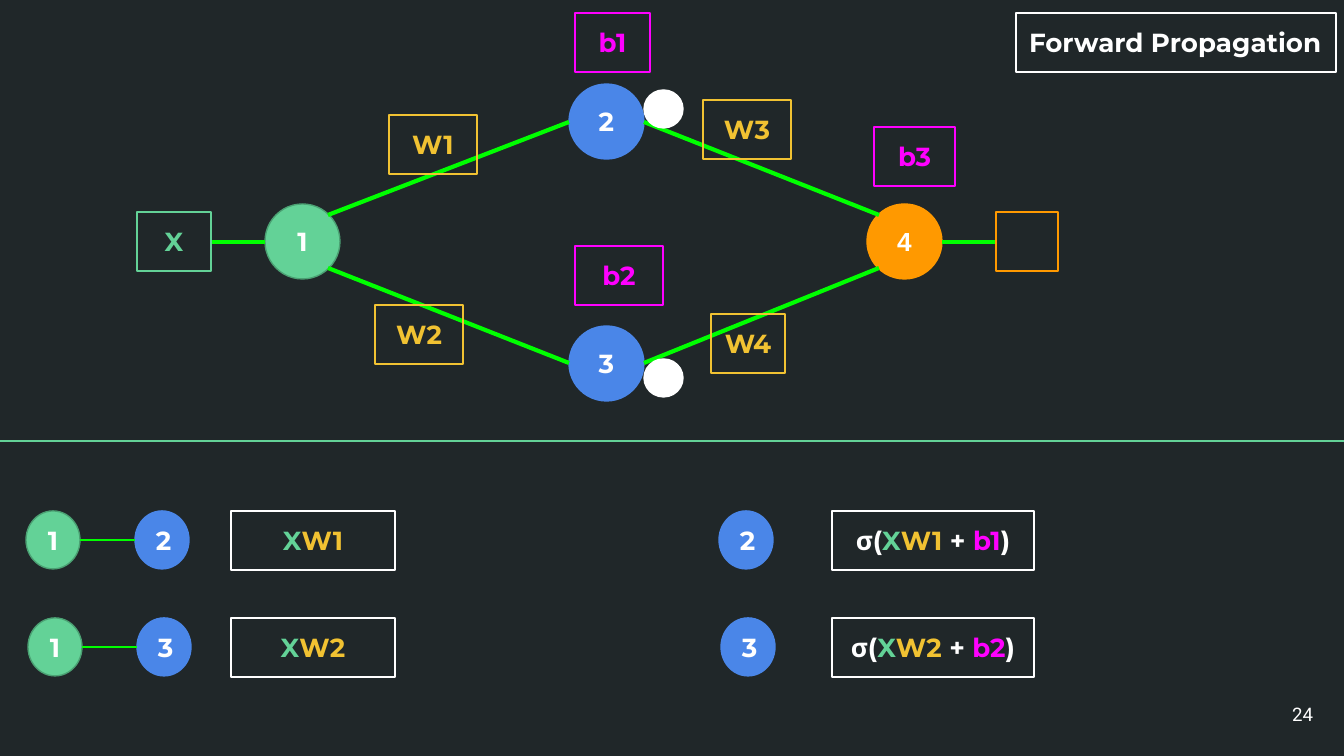
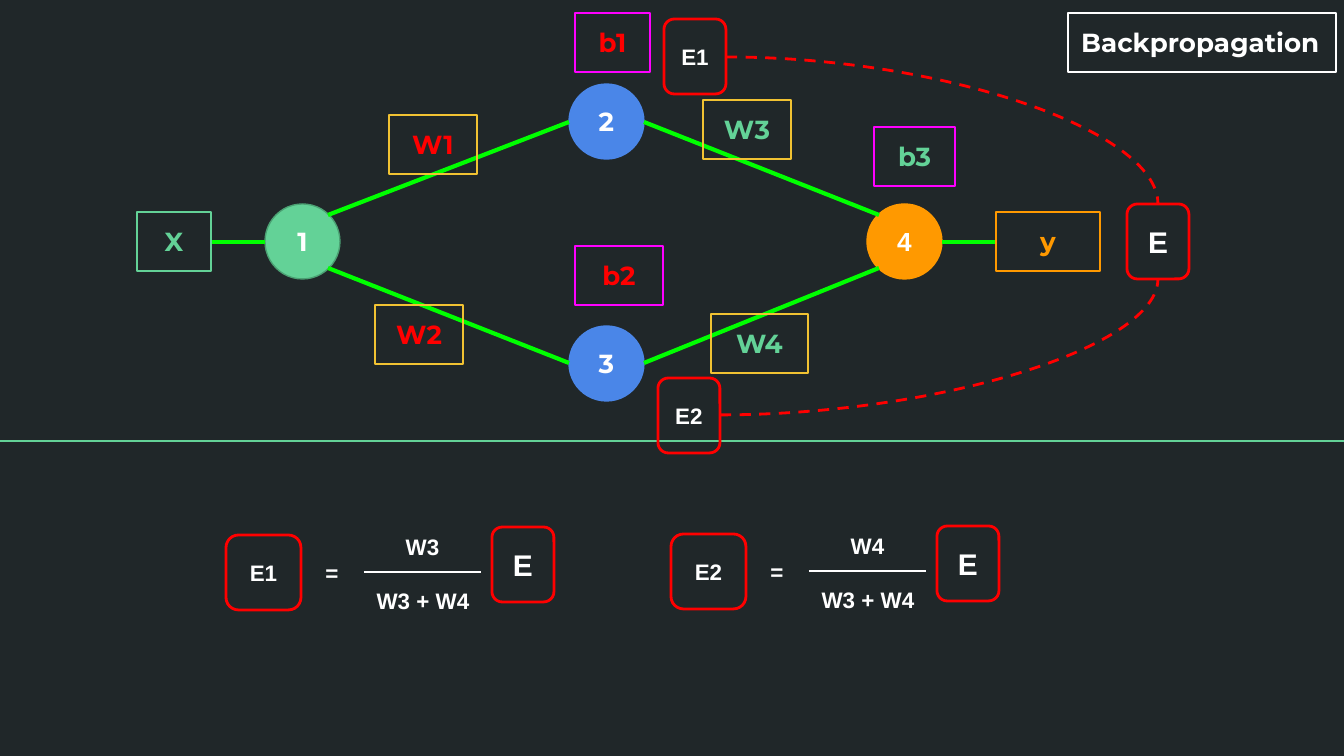
from typing import NamedTuple

from lxml import etree
from pptx import Presentation
from pptx.dml.color import RGBColor
from pptx.enum.dml import MSO_LINE
from pptx.enum.shapes import MSO_CONNECTOR, MSO_SHAPE
from pptx.enum.text import MSO_ANCHOR, MSO_AUTO_SIZE, PP_ALIGN
from pptx.oxml.ns import qn
from pptx.util import Pt

RECT, OVAL, ROUNDED = MSO_SHAPE.RECTANGLE, MSO_SHAPE.OVAL, MSO_SHAPE.ROUNDED_RECTANGLE
STRAIGHT, CURVE = MSO_CONNECTOR.STRAIGHT, MSO_CONNECTOR.CURVE
DASH = MSO_LINE.DASH
TOP, MIDDLE = MSO_ANCHOR.TOP, MSO_ANCHOR.MIDDLE
LEFT, CENTER, RIGHT = PP_ALIGN.LEFT, PP_ALIGN.CENTER, PP_ALIGN.RIGHT
GROW, FIXED = MSO_AUTO_SIZE.SHAPE_TO_FIT_TEXT, MSO_AUTO_SIZE.NONE

SCALE = 914400 / 134.4
SLIDE_W, SLIDE_H = 1344, 756
DIVIDER_Y = 441
INSET = 13
BOX_H = 59
NEURON = 75
ERROR_W = 62

BACKGROUND, WHITE = "202729", "FFFFFF"
GREEN, DARK_GREEN, LIME = "63D297", "4BA173", "00FF00"
BLUE, ORANGE, YELLOW = "4A86E8", "FF9900", "F1C232"
MAGENTA, RED = "FF00FF", "FF0000"
HEADING, PLAIN, NUMERIC = "Montserrat", "Arial", "Roboto"

Parts = list[tuple[str, str]]


class Area(NamedTuple):
    x: int
    y: int
    w: int
    h: int = BOX_H


class Neuron(NamedTuple):
    label: str
    x: int
    y: int
    fill: str
    line: str
    font: str = HEADING


class Parameter(NamedTuple):
    label: str
    area: Area
    line: str


class Edge(NamedTuple):
    x1: int
    y1: int
    x2: int
    y2: int


class Step(NamedTuple):
    target: str
    weight: str
    bias: str


class Share(NamedTuple):
    error: str
    weight: str
    x: int
    y: int


NEURONS = [
    Neuron("1", 265, 204, GREEN, DARK_GREEN),
    Neuron("2", 569, 84, BLUE, BLUE),
    Neuron("3", 569, 326, BLUE, BLUE),
    Neuron("4", 867, 204, ORANGE, ORANGE, PLAIN),
]
EDGES = [
    Edge(328, 215, 569, 122),
    Edge(328, 268, 569, 363),
    Edge(644, 122, 879, 215),
    Edge(644, 363, 879, 268),
    Edge(265, 242, 211, 242),
    Edge(996, 242, 942, 242),
]
PARAMETERS = [
    Parameter("X", Area(137, 212, 74), GREEN),
    Parameter("W1", Area(389, 115, 88), YELLOW),
    Parameter("W2", Area(375, 305, 88), YELLOW),
    Parameter("W3", Area(703, 100, 88), YELLOW),
    Parameter("b1", Area(575, 13, 75), MAGENTA),
    Parameter("b2", Area(575, 246, 88), MAGENTA),
    Parameter("b3", Area(874, 127, 81), MAGENTA),
]
STEPS = [Step("2", "W1", "b1"), Step("3", "W2", "b2")]
SHARES = [Share("E1", "W3", 226, 535), Share("E2", "W4", 671, 534)]
UPDATED = dict.fromkeys(["W1", "W2", "b1", "b2"], RED) | dict.fromkeys(["W3", "W4", "b3"], GREEN)


def px(value: int) -> int:
    return round(value * SCALE)


def colour(value: str) -> RGBColor:
    return RGBColor.from_string(value)


def write_text(shape, parts: Parts, *, size: int = 14, font: str = HEADING, bold: bool = True,
               align=CENTER, anchor=MIDDLE, fit=FIXED) -> None:
    frame = shape.text_frame
    frame.word_wrap = True
    frame.auto_size = fit
    frame.vertical_anchor = anchor
    frame.margin_left = frame.margin_right = px(INSET)
    frame.margin_top = frame.margin_bottom = px(INSET)
    paragraph = frame.paragraphs[0]
    paragraph.alignment = align
    for text, tint in parts:
        run = paragraph.add_run()
        run.text = text
        run.font.size = Pt(size)
        run.font.name = font
        run.font.bold = bold
        run.font.color.rgb = colour(tint)


def paint(shape, fill: str = "", line: str = "", width: float = 0.75) -> None:
    if fill:
        shape.fill.solid()
        shape.fill.fore_color.rgb = colour(fill)
    else:
        shape.fill.background()
    if line:
        shape.line.color.rgb = colour(line)
        shape.line.width = Pt(width)
    else:
        shape.line.fill.background()


def draw_shape(slide, kind, area: Area, fill: str = "", line: str = "", width: float = 0.75):
    shape = slide.shapes.add_shape(kind, *map(px, area))
    shape.shadow.inherit = False
    paint(shape, fill, line, width)
    return shape


def draw_line(slide, edge: Edge, tint: str, width: float = 1.5, kind=STRAIGHT):
    connector = slide.shapes.add_connector(kind, *map(px, edge))
    connector.line.color.rgb = colour(tint)
    connector.line.width = Pt(width)
    etree.SubElement(connector.element.spPr, qn("a:effectLst"))
    return connector


def draw_feedback(slide, edge: Edge) -> None:
    curve = draw_line(slide, edge, RED, kind=CURVE)
    curve.line.dash_style = DASH
    curve.element.spPr.find(qn("a:prstGeom")).set("prst", "curvedConnector2")


def draw_box(slide, area: Area, parts: Parts, line: str = WHITE) -> None:
    write_text(draw_shape(slide, RECT, area, line=line), parts, anchor=TOP, fit=GROW)


def draw_neuron(slide, neuron: Neuron, area: Area) -> None:
    circle = draw_shape(slide, OVAL, area, neuron.fill, neuron.line)
    write_text(circle, [(neuron.label, WHITE)], font=neuron.font)


def draw_term(slide, text: str, area: Area, line: str = "", size: int = 12) -> None:
    term = draw_shape(slide, ROUNDED, area, line=line, width=1.5)
    write_text(term, [(text, WHITE)], size=size, font=PLAIN)


def draw_error(slide, text: str, x: int, y: int, width: int = ERROR_W) -> None:
    draw_term(slide, text, Area(x, y, width, NEURON), RED, 16 if text == "E" else 12)


def start_slide(deck, heading: str, area: Area):
    slide = deck.slides.add_slide(deck.slide_layouts[5])
    title = slide.shapes.title
    title.left, title.top, title.width, title.height = map(px, area)
    paint(title, line=WHITE)
    write_text(title, [(heading, WHITE)], align=LEFT, anchor=TOP)
    draw_line(slide, Edge(0, DIVIDER_Y, SLIDE_W, DIVIDER_Y), GREEN)
    return slide


def draw_network(slide, tints: dict[str, str], w4_width: int, output: str, output_width: int) -> None:
    for neuron in NEURONS:
        draw_neuron(slide, neuron, Area(neuron.x, neuron.y, NEURON, NEURON))
    for edge in EDGES:
        draw_line(slide, edge, LIME, 2.25)
    last_weight = Parameter("W4", Area(711, 314, w4_width), YELLOW)
    result = Parameter(output, Area(996, 212, output_width), ORANGE)
    for label, area, line in [*PARAMETERS, last_weight, result]:
        if label:
            draw_box(slide, area, [(label, tints.get(label, line))], line)
        else:
            draw_shape(slide, RECT, area, line=line)


def draw_step(slide, row: int, step: Step) -> None:
    y, shift = 511 + 107 * row, 2 * row
    source = NEURONS[0]
    target = next(neuron for neuron in NEURONS if neuron.label == step.target)
    for neuron, x in [(source, 26), (target, 135), (target, 719)]:
        draw_neuron(slide, neuron, Area(x + shift, y, 54, 58))
    draw_line(slide, Edge(80 + shift, y + 29, 135 + shift, y + 29), LIME)
    draw_box(slide, Area(231, y, 164), [("X", GREEN), (step.weight, YELLOW)])
    activation = [("σ(", WHITE), ("X", GREEN), (step.weight + " ", YELLOW),
                  ("+ ", WHITE), (step.bias, MAGENTA), (")", WHITE)]
    draw_box(slide, Area(832, y, 202), activation)


def draw_share(slide, share: Share) -> None:
    x, y = share.x, share.y
    draw_error(slide, share.error, x, y, NEURON)
    draw_term(slide, "=", Area(x + 75, y + 8, ERROR_W))
    draw_term(slide, share.weight, Area(x + 145, y - 26, 103, NEURON))
    draw_term(slide, "W3 + W4", Area(x + 131, y + 28, 132, NEURON))
    draw_line(slide, Edge(x + 138, y + 37, x + 255, y + 37), WHITE)
    draw_error(slide, "E", x + 266, y - 8)


def build_forward(deck) -> None:
    slide = start_slide(deck, "Forward Propagation", Area(1016, 13, 320))
    draw_network(slide, {}, 74, "", 62)
    for y in (90, 359):
        draw_shape(slide, OVAL, Area(644, y, 39, 38), WHITE, WHITE)
    for row, step in enumerate(STEPS):
        draw_step(slide, row, step)
    page = slide.shapes.add_textbox(*map(px, Area(1245, 685, 81, 58)))
    write_text(page, [("24", WHITE)], size=10, font=NUMERIC, bold=False, align=RIGHT)


def build_backward(deck) -> None:
    slide = start_slide(deck, "Backpropagation", Area(1068, 13, 268))
    draw_network(slide, UPDATED, 97, "y", 104)
    for label, x, y in [("E", 1127, 204), ("E1", 664, 19), ("E2", 658, 378)]:
        draw_error(slide, label, x, y)
    for share in SHARES:
        draw_share(slide, share)
    draw_feedback(slide, Edge(726, 57, 1158, 204))
    draw_feedback(slide, Edge(720, 415, 1158, 279))


def main() -> None:
    deck = Presentation()
    deck.slide_width, deck.slide_height = px(SLIDE_W), px(SLIDE_H)
    backdrop = deck.slide_master.background.fill
    backdrop.solid()
    backdrop.fore_color.rgb = colour(BACKGROUND)
    build_forward(deck)
    build_backward(deck)
    deck.save("out.pptx")


if __name__ == "__main__":
    main()
